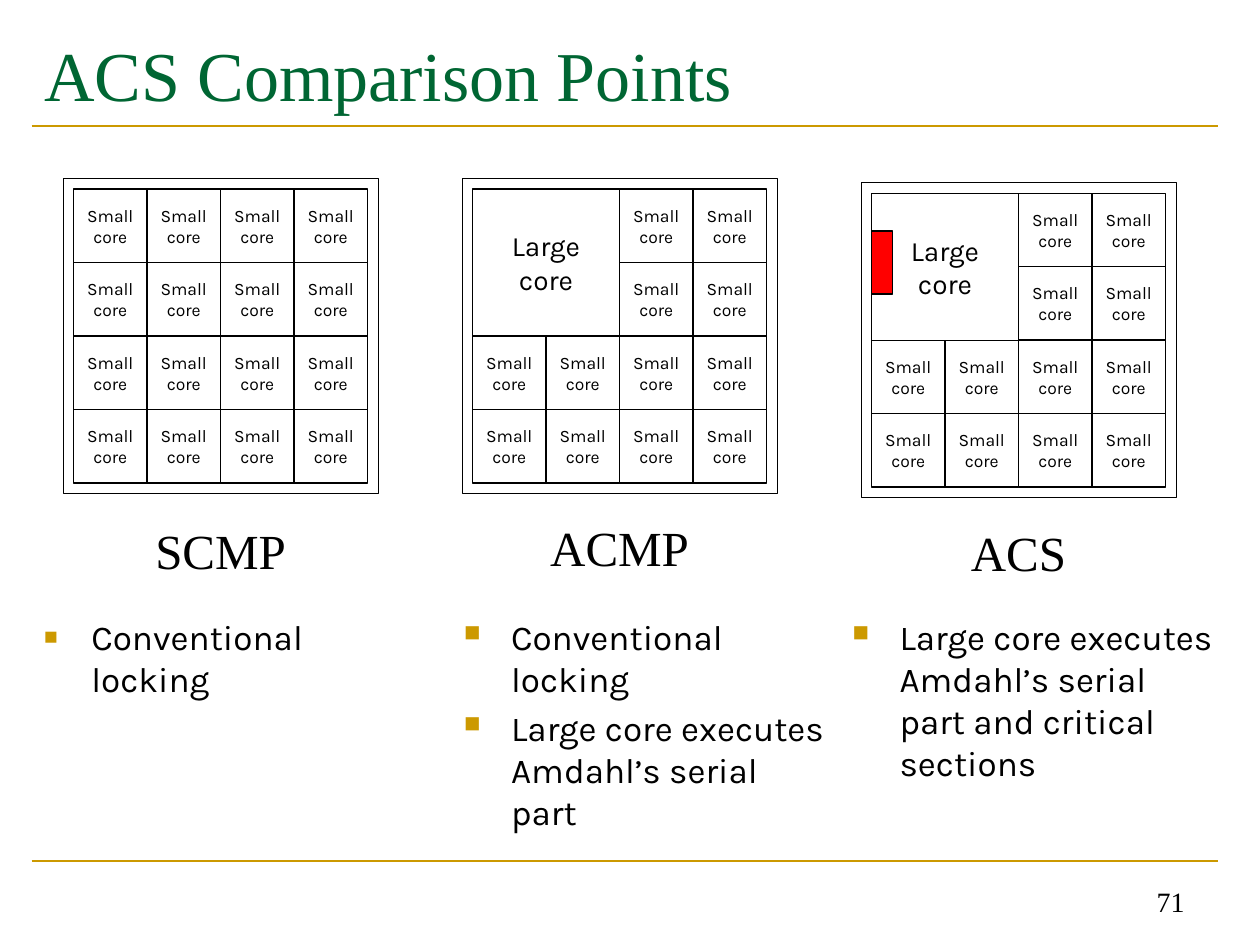
from dataclasses import dataclass

import pptx
import pptx.dml.color
import pptx.enum.shapes
import pptx.enum.text
import pptx.oxml
import pptx.oxml.ns
import pptx.util

PX = 7620  # EMU per px, 120 px to the inch
SANS, SERIF = "Karla", "Times New Roman"
BLACK, WHITE, RED, GOLD, GREEN = "000000", "FFFFFF", "FF0000", "CC9900", "006633"
CELL, MARGIN, GRID = 70, 10, 4
RECT = pptx.enum.shapes.MSO_SHAPE.RECTANGLE
ALIGN = pptx.enum.text.PP_ALIGN
ANCHOR = pptx.enum.text.MSO_ANCHOR
NO_FIT = pptx.enum.text.MSO_AUTO_SIZE.NONE


@dataclass
class Chip:
    name: str
    left: int
    top: int
    label_top: int
    has_large_core: bool


@dataclass
class PointList:
    left: int
    points: list[str]


CHIPS = [
    Chip("ACMP", 440, 170, 487, True),
    Chip("ACS", 820, 174, 492, True),
    Chip("SCMP", 60, 170, 490, False),
]
LISTS = [
    PointList(30, ["Conventional locking"]),
    PointList(430, ["Conventional locking", "Large core executes Amdahl’s serial part"]),
    PointList(800, ["Large core executes Amdahl’s serial part and critical sections"]),
]


def rgb(value: str):
    return pptx.dml.color.RGBColor.from_string(value)


def emu(*lengths: int) -> list:
    return [pptx.util.Emu(n * PX) for n in lengths]


def set_attrs(obj, values: dict) -> None:
    for name, value in values.items():
        setattr(obj, name, value)


def place(sp, left: int, top: int, width: int, height: int) -> None:
    set_attrs(sp, dict(zip(("left", "top", "width", "height"),
                           emu(left, top, width, height))))


def write(tf, text: str, size: int, font: str, color: str = BLACK,
          align=ALIGN.LEFT, **frame) -> None:
    """Fill a text frame; a newline starts a paragraph, \\v breaks a line."""
    set_attrs(tf, {"word_wrap": True, "auto_size": NO_FIT, **frame})
    tf.text = text
    for p in tf.paragraphs:
        p.alignment = align
        for r in p.runs:
            set_attrs(r.font, {"size": pptx.util.Pt(size), "name": font})
            r.font.color.rgb = rgb(color)


def add_rect(shapes, box: tuple, fill: str = "", line_width: float = 0):
    sp = shapes.add_shape(RECT, *emu(*box))
    sp.shadow.inherit = False
    if fill:
        sp.fill.solid()
        sp.fill.fore_color.rgb = rgb(fill)
    else:
        sp.fill.background()
    if line_width:
        sp.line.color.rgb = rgb(BLACK)
        sp.line.width = pptx.util.Pt(line_width)
    else:
        sp.line.fill.background()
    return sp


def add_rule(shapes, y: int) -> None:
    x1, y1, x2, y2 = emu(30, y, 1160, y)
    cxn = shapes.add_connector(pptx.enum.shapes.MSO_CONNECTOR.STRAIGHT, x1, y1, x2, y2)
    cxn.line.color.rgb = rgb(GOLD)
    cxn.line.width = pptx.util.Pt(1.5)
    pptx.oxml.ns.qn("a:effectLst")
    cxn._element.spPr.append(
        pptx.oxml.parse_xml(f'<a:effectLst {pptx.oxml.ns.nsdecls("a")}/>'))


def add_core(shapes, chip: Chip, col: int, row: int, span: int, text: str, size: int) -> None:
    box = (chip.left + MARGIN + col * CELL, chip.top + MARGIN + row * CELL,
           span * CELL, span * CELL)
    sp = add_rect(shapes, box, line_width=0.75)
    write(sp.text_frame, text, size, SANS, align=ALIGN.CENTER,
          word_wrap=False, vertical_anchor=ANCHOR.MIDDLE)


def add_chip(slide, chip: Chip) -> None:
    shapes = slide.shapes.add_group_shape().shapes
    side = GRID * CELL + 2 * MARGIN
    add_rect(shapes, (chip.left, chip.top, side, side), line_width=0.25)
    for row in range(GRID):
        for col in range(GRID):
            if not (chip.has_large_core and row < 2 and col < 2):
                add_core(shapes, chip, col, row, 1, "Small\vcore", 10)
    if chip.has_large_core:
        add_core(shapes, chip, 0, 0, 2, "Large\ncore", 16)
    label = add_rect(shapes, (chip.left + MARGIN, chip.label_top, GRID * CELL, 68), fill=WHITE)
    write(label.text_frame, chip.name, 28, SERIF, align=ALIGN.CENTER,
          vertical_anchor=ANCHOR.TOP)


def fill_list(sp, points: PointList) -> None:
    place(sp, points.left, 580, 370, 233)
    write(sp.text_frame, "\n".join(points.points), 20, SANS, vertical_anchor=ANCHOR.TOP)
    ns = pptx.oxml.ns.nsdecls("a")
    for i, p in enumerate(sp.text_frame.paragraphs):
        p.space_before = pptx.util.Pt(4 if i else 0)
        pPr = p._p.get_or_add_pPr()
        pPr.set("marL", str(45 * PX))
        pPr.set("indent", str(-45 * PX))
        for xml in (f'<a:buClr {ns}><a:srgbClr val="{GOLD}"/></a:buClr>',
                    f'<a:buSzPct {ns} val="65000"/>',
                    f'<a:buChar {ns} char="■"/>'):
            pPr.append(pptx.oxml.parse_xml(xml))


def main() -> None:
    prs = pptx.Presentation()
    prs.slide_width, prs.slide_height = emu(1200, 900)
    slide = prs.slides.add_slide(prs.slide_layouts[1])
    title, body = slide.placeholders

    # Rules and title
    for y in (820, 120):
        add_rule(slide.shapes, y)
    place(title, 30, 20, 1130, 100)
    write(title.text_frame, "ACS Comparison Points", 40, SERIF, GREEN,
          vertical_anchor=ANCHOR.MIDDLE)

    # Chips, with the red block on the large core of ACS
    for chip in CHIPS:
        add_chip(slide, chip)
    add_rect(slide.shapes, (830, 220, 20, 60), fill=RED, line_width=0.75)

    # Lists: the first in the body placeholder
    fill_list(body, LISTS[0])
    for points in LISTS[1:]:
        fill_list(slide.shapes.add_textbox(0, 0, 0, 0), points)

    # Slide number
    number = slide.shapes.add_textbox(*emu(860, 820, 280, 60))
    write(number.text_frame, "71", 16, SERIF, align=ALIGN.RIGHT,
          vertical_anchor=ANCHOR.BOTTOM)

    prs.save("out.pptx")


if __name__ == "__main__":
    main()
